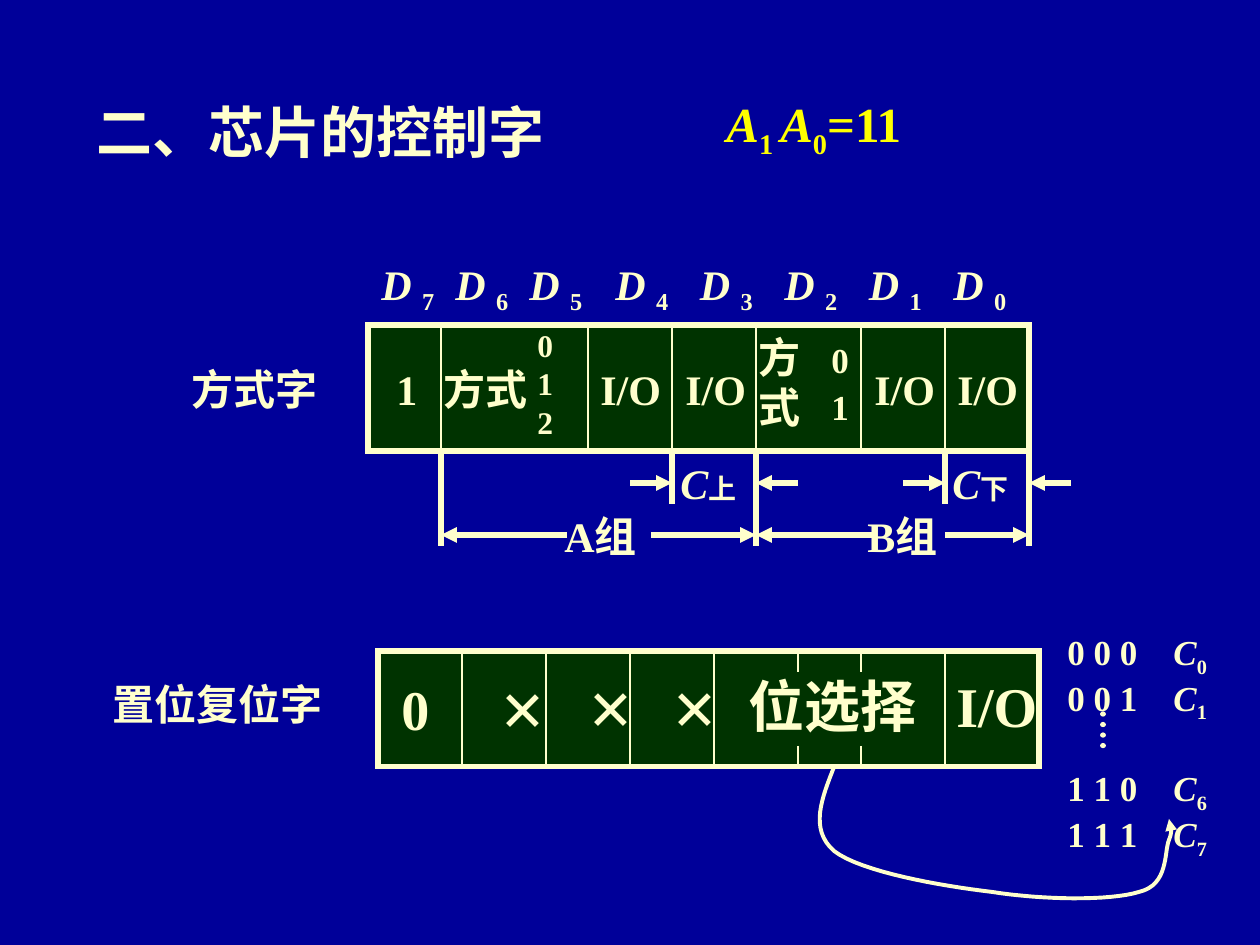
from lxml import etree
from pptx import Presentation
from pptx.dml.color import RGBColor
from pptx.enum.dml import MSO_LINE
from pptx.enum.shapes import MSO_CONNECTOR, MSO_SHAPE
from pptx.enum.text import MSO_ANCHOR, MSO_AUTO_SIZE, PP_ALIGN
from pptx.oxml.ns import qn
from pptx.util import Pt

STRAIGHT = MSO_CONNECTOR.STRAIGHT
RECT = MSO_SHAPE.RECTANGLE
ROUND_DOT = MSO_LINE.ROUND_DOT
LEFT = PP_ALIGN.LEFT
TOP, MIDDLE = MSO_ANCHOR.TOP, MSO_ANCHOR.MIDDLE
NO_FIT = MSO_AUTO_SIZE.NONE

PX = 914400 / 126
BLUE, GREEN, CREAM, YELLOW = "000099", "003300", "FFFFCC", "FFFF00"
SERIF = "Times New Roman"


def variable(name, index):
    return [(name, "i"), (index, "sub")]


def bits(first, last):
    runs = []
    for n in range(first, last - 1, -1):
        runs += variable("D ", str(n))
        if n > last:
            runs.append(("\t", ""))
    return [runs]


TITLE = "二、芯片的控制字"
ADDRESS = [variable("A", "1 ") + variable("A", "0") + [("=11", "")]]
ROW_LABELS = [(179, 357, 151, "方式字"), (100, 672, 234, "置位复位字")]

MODE_BOX = (368, 325, 661, 126)
MODE_DIVIDERS = [441, 588, 672, 756, 861, 945]
MODE_BITS = [(369, 78, 7, 7, 0), (443, 153, 6, 5, 74), (603, 430, 4, 0, 84.5)]
MODE_CELLS = [(384, 45, "1"), (431, 108, "方式"), (588, 86, "I/O"),
              (673, 86, "I/O"), (862, 86, "I/O"), (945, 86, "I/O")]
EXTENSIONS = [(441, 546), (672, 504), (756, 546), (945, 504), (1029, 546)]
PORT_LABELS = [(668, "上"), (940, "下")]
GROUP_LABELS = [(552, 107, "A组"), (855, 105, "B组")]
PORT_ARROWS = [(630, 672), (798, 756), (903, 945), (1071, 1029)]
GROUP_ARROWS = [(567, 441), (651, 756), (872, 756), (945, 1029)]

RESET_BOX = (378, 651, 661, 116)
RESET_DIVIDERS = [462, 546, 630, 714, 945]
RESET_STUBS = [798, 861]
RESET_CELLS = [(389, 668, 53, "0", SERIF), (487, 669, 72, "✕", "Arial"),
               (575, 668, 72, "✕", "Arial"), (659, 668, 72, "✕", "Arial"),
               (736, 665, 193, "位选择", SERIF), (944, 665, 106, "I/O", SERIF)]

CODES = [("0 0 0", "0"), ("0 0 1", "1"), ("1 1 0", "6"), ("1 1 1", "7")]
CURVE_START = (834, 767)
CURVE = [((822, 798), (809, 829), (834, 851)), ((861, 872), (941, 886), (992, 892)),
         ((1043, 900), (1110, 901), (1139, 892)), ((1169, 885), (1164, 852), (1169, 840)),
         ((1174, 828), (1169, 823), (1169, 819))]


def px(*values):
    return [round(v * PX) for v in values]


def rgb(color):
    return RGBColor.from_string(color)


def write(tf, paragraphs, size=24, color=CREAM, font=SERIF, wrap=False, anchor=TOP,
          spacing=None, before=(), tabs=()):
    tf.word_wrap, tf.auto_size, tf.vertical_anchor = wrap, NO_FIT, anchor
    if isinstance(paragraphs, str):
        paragraphs = [paragraphs]
    for i, runs in enumerate(paragraphs):
        p = tf.paragraphs[0] if i == 0 else tf.add_paragraph()
        p.alignment = LEFT
        if tabs:
            stops = etree.SubElement(p._p.get_or_add_pPr(), qn("a:tabLst"))
            for stop in px(*tabs):
                etree.SubElement(stops, qn("a:tab"), pos=str(stop), algn="l")
        if spacing:
            p.line_spacing = spacing
        if i and before:
            p.space_before = Pt(before[i - 1])
        for text, style in [(runs, "")] if isinstance(runs, str) else runs:
            r = p.add_run()
            r.text = text
            r.font.name, r.font.bold = font, True
            r.font.size = Pt(16 if style == "small" else size)
            r.font.italic = style == "i"
            r.font.color.rgb = rgb(color)
            if style == "sub":
                r._r.get_or_add_rPr().set("baseline", "-25000")


def add_text(s, x, y, w, h, paragraphs, **fmt):
    write(s.shapes.add_textbox(*px(x, y, w, h)).text_frame, paragraphs, **fmt)


def add_arrowhead(line):
    etree.SubElement(line._get_or_add_ln(), qn("a:tailEnd"), type="triangle")


def add_line(s, x1, y1, x2, y2, width=3, arrow=False):
    c = s.shapes.add_connector(STRAIGHT, *px(x1, y1, x2, y2))
    c.line.color.rgb, c.line.width = rgb(CREAM), Pt(width)
    etree.SubElement(c._element.spPr, qn("a:effectLst"))
    if arrow:
        add_arrowhead(c.line)
    return c


def add_register(s, box, dividers):
    sp = s.shapes.add_shape(RECT, *px(*box))
    sp.shadow.inherit = False
    sp.fill.solid()
    sp.fill.fore_color.rgb = rgb(GREEN)
    sp.line.color.rgb, sp.line.width = rgb(CREAM), Pt(3)
    etree.SubElement(sp.line._get_or_add_ln(), qn("a:miter"), lim="800000")
    for x in dividers:
        add_line(s, x, box[1], x, box[1] + box[3], 0.75)


def add_curve(s, start, segments, steps=16):
    points, a = [], start
    for b, c, d in segments:
        for t in (i / steps for i in range(1, steps + 1)):
            u = 1 - t
            points.append(tuple(px(*(
                u**3 * p0 + 3 * u * u * t * p1 + 3 * u * t * t * p2 + t**3 * p3
                for p0, p1, p2, p3 in zip(a, b, c, d)))))
        a = d
    builder = s.shapes.build_freeform(*px(*start))
    builder.add_line_segments(points, close=False)
    sp = builder.convert_to_shape()
    sp.shadow.inherit = False
    sp.fill.background()
    sp.line.color.rgb, sp.line.width = rgb(CREAM), Pt(2.25)
    add_arrowhead(sp.line)


def main():
    prs = Presentation()
    prs.slide_width, prs.slide_height = px(1260, 945)
    s = prs.slides.add_slide(prs.slide_layouts[5])
    s.background.fill.solid()
    s.background.fill.fore_color.rgb = rgb(BLUE)

    title = s.shapes.title
    title.left, title.top, title.width, title.height = px(84, 84, 577, 95)
    write(title.text_frame, TITLE, size=32, wrap=True, anchor=MIDDLE)
    add_text(s, 714, 87, 209, 79, ADDRESS, size=28, color=YELLOW)
    for x, y, w, text in ROW_LABELS:
        add_text(s, x, y, w, 63, text)

    add_register(s, MODE_BOX, MODE_DIVIDERS)
    for x, w, first, last, pitch in MODE_BITS:
        tabs = [pitch * n for n in range(1, first - last + 1)]
        add_text(s, x, 252, w, 71, bits(first, last), tabs=tabs)
    for x, w, text in MODE_CELLS:
        add_text(s, x, 357, w, 63, text)
    add_text(s, 746, 325, 67, 113, ["方", "式"])
    add_text(s, 525, 336, 73, 110, ["0", "1", "2"], size=18, spacing=0.5, before=[11.2] * 2)
    add_text(s, 819, 347, 50, 86, ["0", "1"], size=20, spacing=0.6, before=[12.5])
    for x, bottom in EXTENSIONS:
        add_line(s, x, 451, x, bottom)
    for x, side in PORT_LABELS:
        add_text(s, x, 451, 91, 63, [[("C", "i"), (side, "small")]])
    for x, w, text in GROUP_LABELS:
        add_text(s, x, 504, w, 63, text)
    for y, arrows in ((483, PORT_ARROWS), (535, GROUP_ARROWS)):
        for x1, x2 in arrows:
            add_line(s, x1, y, x2, y, arrow=True)

    add_register(s, RESET_BOX, RESET_DIVIDERS)
    for x in RESET_STUBS:
        for y in (651, 746):
            add_line(s, x, y, x, y + 21, 0.75)
    for x, y, w, text, font in RESET_CELLS:
        add_text(s, x, y, w, 81, text, size=32, font=font)

    codes = [[(code + "\t", "")] + variable("C", n) for code, n in CODES]
    add_text(s, 1055, 640, 168, 217, codes, size=20, spacing=0.5,
             before=[12.5, 38, 12.5], tabs=[106])
    add_curve(s, CURVE_START, CURVE)
    dots = add_line(s, 1103, 714, 1103, 756)
    dots.line.dash_style = ROUND_DOT
    dots.line._get_or_add_ln().set("cap", "rnd")
    prs.save("out.pptx")


if __name__ == "__main__":
    main()
